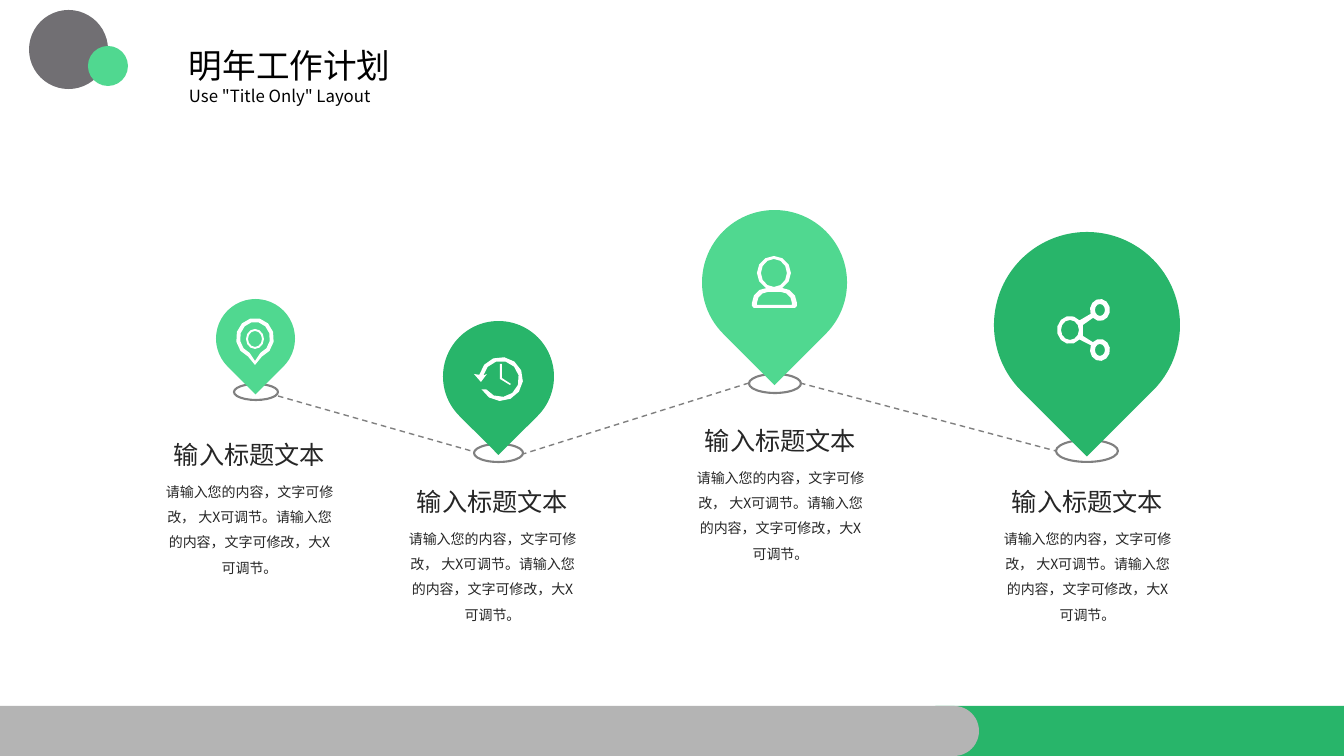
from math import cos, radians, sin

from lxml import etree
from pptx import Presentation
from pptx.dml.color import RGBColor
from pptx.enum.dml import MSO_LINE
from pptx.enum.shapes import MSO_CONNECTOR, MSO_SHAPE
from pptx.enum.text import MSO_AUTO_SIZE, PP_ALIGN
from pptx.oxml.ns import qn
from pptx.util import Emu, Pt

ROUND_RECT = MSO_SHAPE.ROUNDED_RECTANGLE
DISC = MSO_SHAPE.FLOWCHART_CONNECTOR
OVAL = MSO_SHAPE.OVAL
TEAR = MSO_SHAPE.TEAR
STRAIGHT = MSO_CONNECTOR.STRAIGHT
DASH = MSO_LINE.DASH
GROW = MSO_AUTO_SIZE.SHAPE_TO_FIT_TEXT
LEFT, CENTER = PP_ALIGN.LEFT, PP_ALIGN.CENTER

GREEN = RGBColor(0x28, 0xB5, 0x6A)
MINT = RGBColor(0x50, 0xD8, 0x90)
SILVER = RGBColor(0xB4, 0xB4, 0xB4)
SLATE = RGBColor(0x71, 0x6F, 0x73)
GRAY = RGBColor(0x80, 0x80, 0x80)
INK = RGBColor(0x26, 0x26, 0x26)
BLACK = RGBColor(0, 0, 0)
WHITE = RGBColor(0xFF, 0xFF, 0xFF)

FONT = "Noto Sans CJK SC"
STEP_TITLE = "输入标题文本"
STEP_BODY = "请输入您的内容，文字可修改， 大X可调节。请输入您的内容，文字可修改，大X可调节。"

# Ring left, top, width, height
RINGS = [
    (234, 384, 44, 16),
    (474, 444, 49, 18),
    (749, 374, 52, 19),
    (1056, 440, 62, 22),
]
# Pin left, top, size, colour
PINS = [
    (216, 299, 79, MINT),
    (443, 321, 111, GREEN),
    (702, 210, 145, MINT),
    (994, 232, 186, GREEN),
]
# Caption left, top
CAPTIONS = [(165, 439), (408, 486), (696, 425), (1003, 486)]
PATHS = [(278, 396, 475, 452), (800, 383, 1056, 451), (749, 383, 523, 454)]


def px(n):
    return Emu(round(n * 914400 / 100.8))


def add_shape(slide, kind, x, y, w, h, fill=None, line=None):
    sp = slide.shapes.add_shape(kind, px(x), px(y), px(w), px(h))
    sp.shadow.inherit = False
    if fill is None:
        sp.fill.background()
    else:
        sp.fill.solid()
        sp.fill.fore_color.rgb = fill
    if line is None:
        sp.line.fill.background()
    else:
        sp.line.color.rgb = line
        sp.line.width = Pt(1.5)
    return sp


def add_text(slide, x, y, w, h, text, size, color, align=LEFT, inset=True, spacing=None):
    tf = slide.shapes.add_textbox(px(x), px(y), px(w), px(h)).text_frame
    tf.word_wrap = True
    tf.auto_size = GROW
    if not inset:
        tf.margin_left = tf.margin_top = tf.margin_right = tf.margin_bottom = 0
    p = tf.paragraphs[0]
    p.alignment = align
    if spacing:
        p.line_spacing = spacing
    r = p.add_run()
    r.text = text
    r.font.size = Pt(size)
    r.font.color.rgb = color
    r.font.name = FONT
    etree.SubElement(r.font._element, qn("a:ea")).set("typeface", FONT)


def add_dashed_line(slide, x1, y1, x2, y2):
    line = slide.shapes.add_connector(STRAIGHT, px(x1), px(y1), px(x2), px(y2))
    line.line.color.rgb = GRAY
    line.line.width = Pt(1)
    line.line.dash_style = DASH
    etree.SubElement(line._element.spPr, qn("a:effectLst"))


def arc(cx, cy, rx, ry, start=0, end=360):
    """Points along an ellipse; angles in degrees, clockwise from the right."""
    n = max(2, round(abs(end - start) / 30))
    angles = [radians(start + (end - start) * i / n) for i in range(n + 1)]
    return [(cx + rx * cos(a), cy + ry * sin(a)) for a in angles]


def ring(cx, cy, rx, ry):
    return arc(cx, cy, rx, ry)[:-1]


def add_icon(slide, contours):
    builder = None
    for contour in contours:
        points = [(px(x), px(y)) for x, y in contour]
        if builder is None:
            builder = slide.shapes.build_freeform(*points[0])
        else:
            builder.move_to(*points[0])
        builder.add_line_segments(points[1:], close=True)
    sp = builder.convert_to_shape()
    sp.shadow.inherit = False
    sp.fill.solid()
    sp.fill.fore_color.rgb = WHITE
    sp.line.fill.background()


def place_icon():
    return [
        arc(255, 338, 19, 20, 111, 429) + [(255, 365)],
        arc(255, 338, 15, 16, 111, 429) + [(255, 361)],
        ring(255, 339, 9, 10),
        ring(255, 339, 7, 8),
    ]


def history_icon():
    return [
        arc(501, 379, 22, 22, 191, 512) + arc(501, 379, 18, 18, 505, 191)
        + [(487, 374), (481, 382), (474, 374)],
        [(500, 364), (500, 379), (510, 385), (511, 384), (502, 378), (502, 364)],
    ]


def person_icon():
    return [
        arc(774, 273, 17, 17, 60, -240) + arc(767, 303, 15, 15, 270, 180)
        + [(752, 306), (754, 308), (795, 308), (797, 306)]
        + arc(782, 303, 15, 15, 0, -90),
        ring(774, 273, 13, 14),
        arc(768, 303, 11, 11, 270, 180) + [(757, 305), (792, 305)]
        + arc(781, 303, 11, 11, 0, -90),
    ]


def share_icon():
    hub, top, bottom = (1070, 330), (1100, 310), (1100, 350)
    outline = (arc(*hub, 13, 14, 43, 317) + arc(*top, 10, 11, 159, 494)
               + [(1083, 325), (1083, 336)] + arc(*bottom, 10, 11, 225, 565))
    return [outline, ring(*hub, 9, 10), ring(*top, 5, 6), ring(*bottom, 5, 6)]


def add_header_and_footer(slide):
    for kind, x, y, w, h, color in [
        (ROUND_RECT, 911, 706, 482, 50, GREEN),
        (ROUND_RECT, -47, 706, 1026, 50, SILVER),
        (DISC, 29, 10, 79, 79, SLATE),
        (DISC, 88, 46, 40, 40, MINT),
    ]:
        sp = add_shape(slide, kind, x, y, w, h, color)
        if kind == ROUND_RECT:
            sp.adjustments[0] = 0.5
    add_text(slide, 179, 40, 393, 50, "明年工作计划", 24, BLACK)
    add_text(slide, 179, 81, 393, 30, 'Use "Title Only" Layout', 12, BLACK)


def main():
    prs = Presentation()
    prs.slide_width, prs.slide_height = px(1344), px(756)
    slide = prs.slides.add_slide(prs.slide_layouts[6])
    add_header_and_footer(slide)

    # Pins standing in their rings
    for box in RINGS:
        add_shape(slide, OVAL, *box, line=GRAY)
    for x, y, size, color in PINS:
        add_shape(slide, TEAR, x, y, size, size, color).rotation = 135

    # Route between the pins
    for ends in PATHS:
        add_dashed_line(slide, *ends)

    # Captions
    for x, y in CAPTIONS:
        add_text(slide, x + 5, y, 159, 30, STEP_TITLE, 18, INK, CENTER, False)
        add_text(slide, x, y + 36, 169, 102, STEP_BODY, 10, INK, CENTER, False, 1.5)

    # White icons
    for icon in (person_icon, history_icon, place_icon, share_icon):
        add_icon(slide, icon())

    prs.save("out.pptx")


if __name__ == "__main__":
    main()
